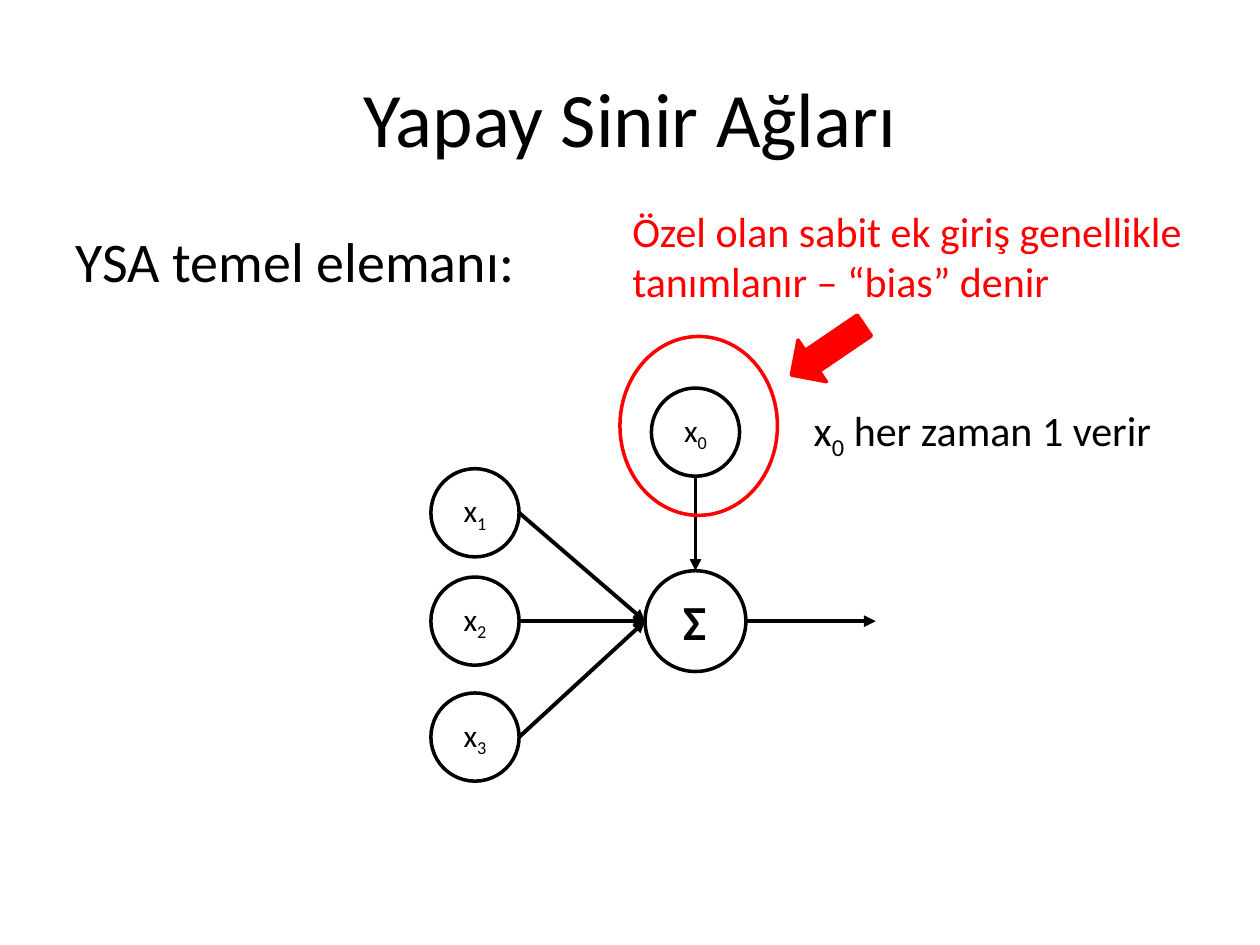
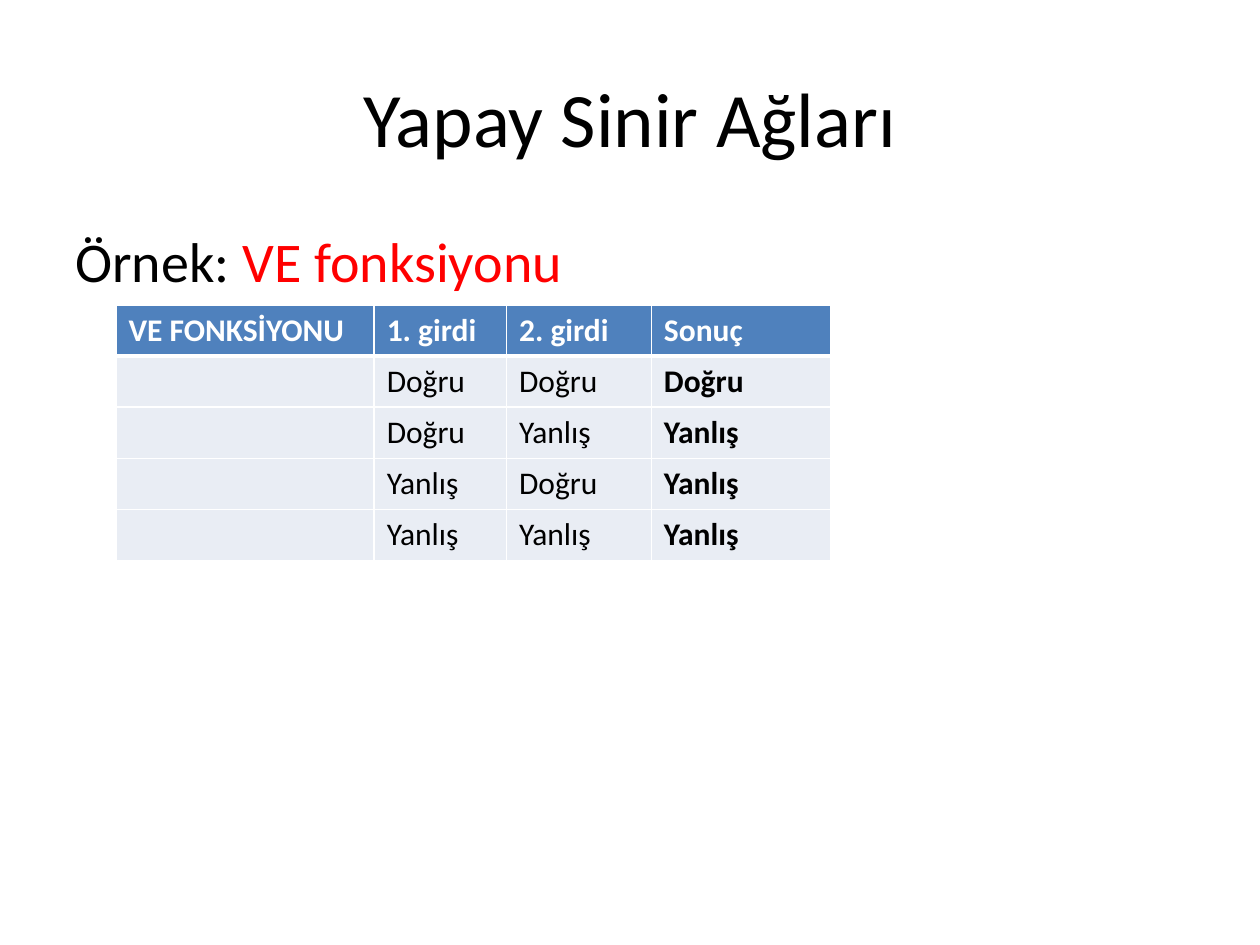
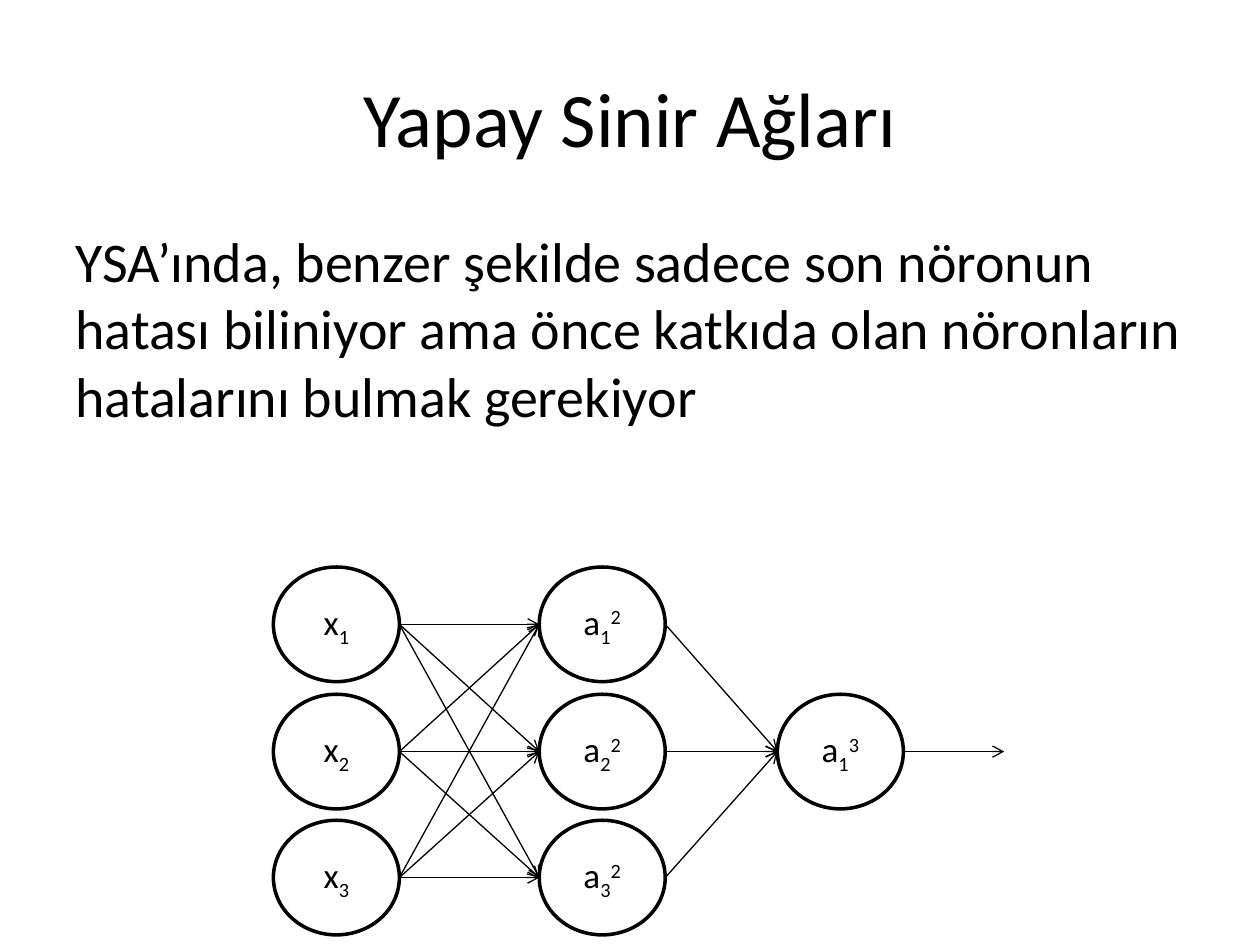
from lxml import etree
from pptx import Presentation
from pptx.dml.color import RGBColor
from pptx.enum import shapes, text
from pptx.oxml import ns
from pptx.util import Inches, Pt

BLACK, WHITE, RED = "000000", "FFFFFF", "FF0000"
HEADER, ROW = "4F81BD", "E9EDF4"
FONT = "Calibri"
TITLE = "Yapay Sinir Ağları"
SUB, SUP = -25000, 30000


def rgb(value):
    return RGBColor.from_string(value)


def label(name, sub, sup=None):
    runs = [(name, {}), (sub, {"base": SUB})]
    return runs + [(sup, {"base": SUP})] if sup else runs


class Deck:
    def __init__(self):
        self.prs = Presentation()
        self.prs.slide_width = Inches(10)
        self.prs.slide_height = Inches(7.5)
        self.slide = None

    def new_slide(self, body, hanging=True):
        self.slide = self.prs.slides.add_slide(self.prs.slide_layouts[6])
        self.text(0.5, 0.3, 9, 1.25, TITLE, 44, align=text.PP_ALIGN.CENTER,
                  anchor=text.MSO_ANCHOR.MIDDLE)
        sp = self.text(0.5, 1.75, 9, 4.95, body, 32)
        if hanging:
            pPr = sp.text_frame.paragraphs[0]._p.get_or_add_pPr()
            pPr.set("marL", str(Inches(0.38)))
            pPr.set("indent", str(-Inches(0.38)))

    def set_runs(self, tf, runs, size, color=BLACK, bold=False, align=text.PP_ALIGN.LEFT):
        p = tf.paragraphs[0]
        p.alignment = align
        p.font.name = FONT
        p.font.size = Pt(size)
        p.font.bold = bold
        p.font.color.rgb = rgb(color)
        if isinstance(runs, str):
            runs = [(runs, {})] if runs else []
        for words, style in runs:
            r = p.add_run()
            r.text = words
            if "color" in style:
                r.font.color.rgb = rgb(style["color"])
            if "base" in style:
                r._r.get_or_add_rPr().set("baseline", str(style["base"]))

    def text(self, x, y, w, h, runs, size, color=BLACK, align=text.PP_ALIGN.LEFT,
             anchor=text.MSO_ANCHOR.TOP, wrap=True):
        sp = self.slide.shapes.add_textbox(Inches(x), Inches(y), Inches(w), Inches(h))
        tf = sp.text_frame
        tf.word_wrap = wrap
        tf.vertical_anchor = anchor
        self.set_runs(tf, runs, size, color, align=align)
        return sp

    def shape(self, kind, x, y, w, h, fill=None, line=BLACK):
        sp = self.slide.shapes.add_shape(kind, Inches(x), Inches(y), Inches(w), Inches(h))
        sp.shadow.inherit = False
        if fill:
            sp.fill.solid()
            sp.fill.fore_color.rgb = rgb(fill)
        else:
            sp.fill.background()
        sp.line.color.rgb = rgb(line)
        sp.line.width = Pt(2)
        return sp

    def neuron(self, x, y, w, h, runs, size, bold=False):
        sp = self.shape(shapes.MSO_SHAPE.OVAL, x, y, w, h, WHITE)
        sp.text_frame.vertical_anchor = text.MSO_ANCHOR.MIDDLE
        self.set_runs(sp.text_frame, runs, size, bold=bold, align=text.PP_ALIGN.CENTER)
        return sp

    def arrow(self, x1, y1, x2, y2, width, head):
        cxn = self.slide.shapes.add_connector(shapes.MSO_CONNECTOR.STRAIGHT, x1, y1, x2, y2)
        cxn.line.color.rgb = rgb(BLACK)
        cxn.line.width = Pt(width)
        spPr = cxn._element.spPr
        etree.SubElement(spPr.get_or_add_ln(), ns.qn("a:tailEnd"), type=head)
        etree.SubElement(spPr, ns.qn("a:effectLst"))

    def link(self, source, target, width, head):
        self.arrow(source.left + source.width, source.top + source.height // 2,
                   target.left, target.top + target.height // 2, width, head)

    def output(self, source, length, width, head):
        x, y = source.left + source.width, source.top + source.height // 2
        self.arrow(x, y, x + Inches(length), y, width, head)

    def border(self, cell, side, width):
        ln = etree.SubElement(cell._tc.get_or_add_tcPr(), ns.qn("a:ln" + side),
                              w=str(Pt(width)))
        fill = etree.SubElement(ln, ns.qn("a:solidFill"))
        etree.SubElement(fill, ns.qn("a:srgbClr"), val=WHITE)

    def table(self, x, y, h, widths, rows):
        tbl = self.slide.shapes.add_table(len(rows), len(widths), Inches(x), Inches(y),
                                          Inches(sum(widths)), Inches(h)).table
        tbl.horz_banding = False
        for col, width in zip(tbl.columns, widths):
            col.width = Inches(width)
        for i, row in enumerate(rows):
            for j, words in enumerate(row):
                cell = tbl.cell(i, j)
                for side in "LRTB":
                    thick = (i, side) in ((0, "B"), (1, "T"))
                    self.border(cell, side, 3 if thick else 1)
                cell.fill.solid()
                cell.fill.fore_color.rgb = rgb(ROW if i else HEADER)
                self.set_runs(cell.text_frame, words, 18, BLACK if i else WHITE,
                              i == 0 or j == len(row) - 1)


def basic_element(deck):
    deck.new_slide("YSA temel elemanı:")
    total = deck.neuron(5.12, 4.53, 0.8, 0.8, "Σ", 28, bold=True)
    for i, y in enumerate((3.72, 4.58, 5.5), 1):
        node = deck.neuron(3.42, y, 0.7, 0.7, label("x", str(i)), 18)
        deck.link(node, total, 2.25, "triangle")
    bias = deck.neuron(5.17, 3.08, 0.7, 0.7, label("x", "0"), 18)
    center = bias.left + bias.width // 2
    deck.arrow(center, bias.top + bias.height, center, total.top, 2.25, "triangle")
    deck.output(total, 1.03, 2.25, "triangle")
    deck.text(4.92, 1.58, 4.67, 0.91,
              "Özel olan sabit ek giriş genellikle tanımlanır – “bias” denir", 24, RED)
    deck.shape(shapes.MSO_SHAPE.OVAL, 4.92, 2.67, 1.25, 1.42, line=RED)
    deck.text(6.36, 3.16, 2.92, 0.5, label("x", "0") + [(" her zaman 1 verir", {})], 24,
              wrap=False)
    pointer = deck.shape(shapes.MSO_SHAPE.DOWN_ARROW, 6.37, 2.43, 0.4, 0.7, RED, RED)
    pointer.rotation = 55.8


def and_function(deck):
    deck.new_slide([("Örnek: ", {}), ("VE fonksiyonu", {"color": RED})])
    rows = [("VE FONKSİYONU", "1. girdi", "2. girdi", "Sonuç")]
    for a in (True, False):
        for b in (True, False):
            rows.append([""] + ["Doğru" if v else "Yanlış" for v in (a, b, a and b)])
    deck.table(0.92, 2.42, 2.03, (2.05, 1.05, 1.15, 1.42), rows)


def layered_network(deck):
    deck.new_slide("YSA’ında, benzer şekilde sadece son nöronun hatası biliniyor ama önce "
                   "katkıda olan nöronların hatalarını bulmak gerekiyor", hanging=False)
    tops = (4.5, 5.51, 6.51)
    layers = ((2.17, "x", None, tops), (4.28, "a", "2", tops), (6.17, "a", "3", tops[1:2]))
    previous = []
    for x, name, sup, ys in layers:
        nodes = [deck.neuron(x, y, 1, 0.91, label(name, str(i), sup), 20)
                 for i, y in enumerate(ys, 1)]
        for source in previous:
            for target in nodes:
                deck.link(source, target, 0.75, "arrow")
        previous = nodes
    deck.output(previous[0], 0.8, 0.75, "arrow")


def main():
    deck = Deck()
    basic_element(deck)
    and_function(deck)
    layered_network(deck)
    deck.prs.save("out.pptx")


if __name__ == "__main__":
    main()
